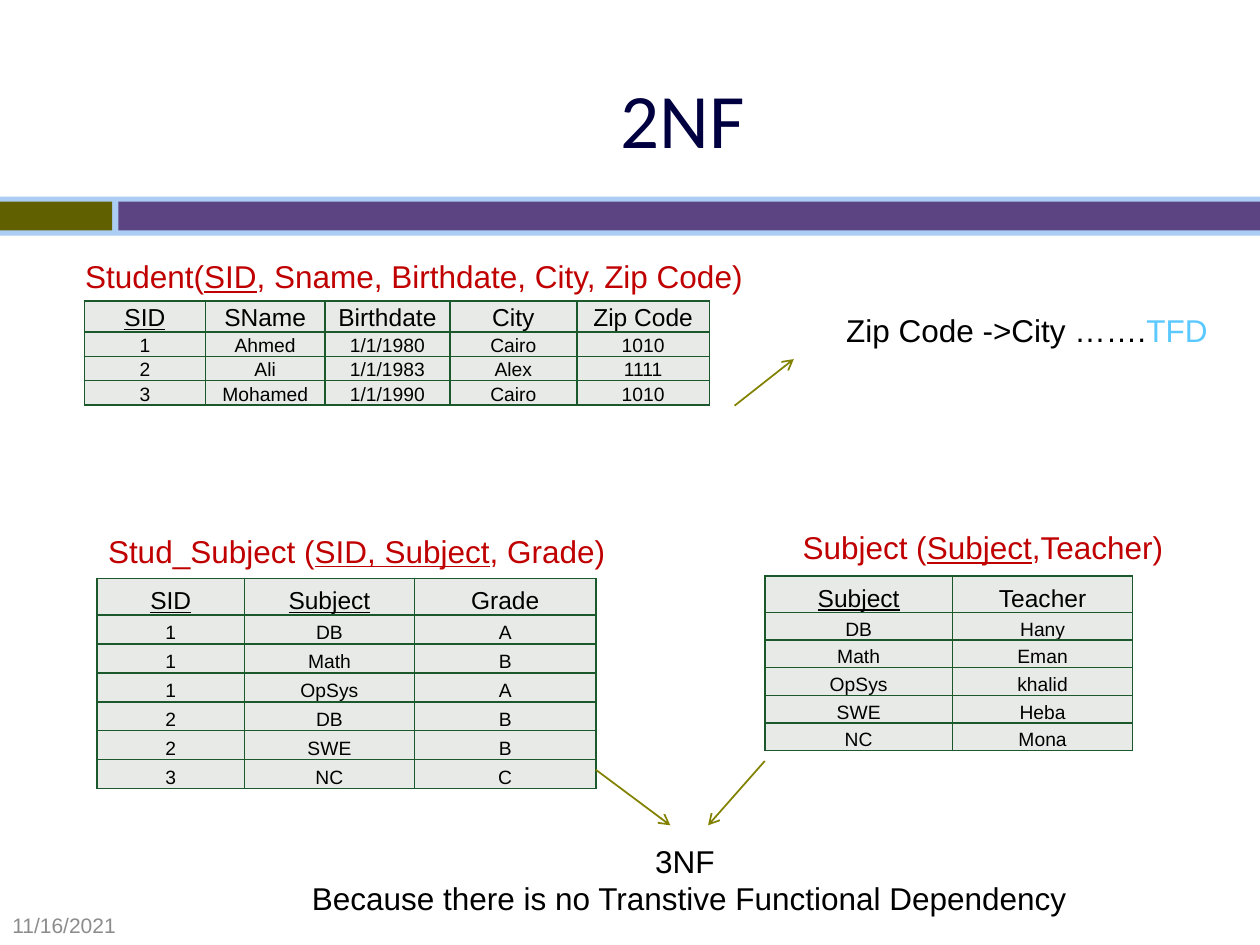
from lxml import etree
from pptx import Presentation
from pptx.dml.color import RGBColor
from pptx.enum.shapes import MSO_CONNECTOR, MSO_SHAPE
from pptx.enum.text import MSO_ANCHOR, PP_ALIGN
from pptx.oxml.ns import qn
from pptx.util import Inches, Pt

RECTANGLE = MSO_SHAPE.RECTANGLE
STRAIGHT = MSO_CONNECTOR.STRAIGHT
LEFT, CENTER = PP_ALIGN.LEFT, PP_ALIGN.CENTER
TOP, MIDDLE, BOTTOM = MSO_ANCHOR.TOP, MSO_ANCHOR.MIDDLE, MSO_ANCHOR.BOTTOM

BLACK, RED, SKY, NAVY, GREY = "000000", "C00000", "5BC9FF", "000040", "8C8C8C"
CELL_FILL, CELL_BORDER, ARROW = "E8EAE8", "1B582B", "828200"
BAND_BACK, BAND_LEFT, BAND_RIGHT = "ABCDF4", "606000", "5C4381"


def rgb(color):
    return RGBColor.from_string(color)


def style_paragraph(paragraph, size, color=BLACK, align=CENTER, font="Arial"):
    paragraph.alignment = align
    paragraph.font.size = Pt(size)
    paragraph.font.name = font
    paragraph.font.color.rgb = rgb(color)


def add_text(slide, box, lines, size=18, color=BLACK, align=CENTER,
             anchor=TOP, font="Arial"):
    """Each line is a list of run texts; returns the text frame."""
    frame = slide.shapes.add_textbox(*map(Inches, box)).text_frame
    frame.word_wrap = True
    frame.vertical_anchor = anchor
    for index, texts in enumerate(lines):
        paragraph = frame.paragraphs[0] if index == 0 else frame.add_paragraph()
        style_paragraph(paragraph, size, color, align, font)
        for text in texts:
            paragraph.add_run().text = text
    return frame


def add_band(slide, left, top, width, height):
    inset, split, gap = 0.04, 0.89, 0.05
    bar_height = height - 2 * inset
    right_start = split + gap
    bars = [
        (left, top, width, height, BAND_BACK),
        (left, top + inset, split, bar_height, BAND_LEFT),
        (left + right_start, top + inset, width - right_start, bar_height, BAND_RIGHT),
    ]
    for *box, color in bars:
        bar = slide.shapes.add_shape(RECTANGLE, *map(Inches, box))
        bar.shadow.inherit = False
        bar.fill.solid()
        bar.fill.fore_color.rgb = rgb(color)
        bar.line.fill.background()


def add_schema(slide, box, name, key, rest):
    """Relation heading with its primary key underlined."""
    frame = add_text(slide, box, [[name, key, rest]], color=RED)
    frame.margin_left = Inches(0.37)
    frame.paragraphs[0].runs[1].font.underline = True


def add_borders(cell):
    properties = cell._tc.get_or_add_tcPr()
    for position, side in enumerate(("lnL", "lnR", "lnT", "lnB")):
        border = etree.Element(qn(f"a:{side}"), w=str(Pt(1)))
        fill = etree.SubElement(border, qn("a:solidFill"))
        etree.SubElement(fill, qn("a:srgbClr"), val=CELL_BORDER)
        properties.insert(position, border)


def add_relation(slide, left, top, widths, header_height, row_height, rows, keys=1):
    """Header row first; the first `keys` column names are underlined."""
    heights = [header_height] + [row_height] * (len(rows) - 1)
    box = (left, top, sum(widths), sum(heights))
    table = slide.shapes.add_table(len(rows), len(widths), *map(Inches, box)).table
    table.first_row = table.horz_banding = False
    for column, width in zip(table.columns, widths):
        column.width = Inches(width)
    for r, (values, height) in enumerate(zip(rows, heights)):
        table.rows[r].height = Inches(height)
        for c, value in enumerate(values):
            cell = table.cell(r, c)
            cell.margin_left = cell.margin_right = cell.margin_top = Inches(0.01)
            cell.margin_bottom = 0
            cell.vertical_anchor = BOTTOM
            cell.fill.solid()
            cell.fill.fore_color.rgb = rgb(CELL_FILL)
            add_borders(cell)
            cell.text = value
            paragraph = cell.text_frame.paragraphs[0]
            style_paragraph(paragraph, 14 if r == 0 else 11)
            if r == 0 and c < keys:
                paragraph.font.underline = True


def add_arrow(slide, start, end):
    arrow = slide.shapes.add_connector(STRAIGHT, *map(Inches, start + end))
    arrow.line.color.rgb = rgb(ARROW)
    arrow.line.width = Pt(1)
    etree.SubElement(arrow.line._get_or_add_ln(), qn("a:tailEnd"), type="arrow")
    etree.SubElement(arrow._element.spPr, qn("a:effectLst"))


def build_slide(slide):
    add_band(slide, 0, 1.56, 10, 0.31)
    add_text(slide, (0.92, 0.31, 9, 1.25), [["2NF"]], 44, NAVY,
             anchor=MIDDLE, font="Calibri")
    add_text(slide, (0, 7.19, 1.97, 0.31), [["11/16/2021"]], 12, GREY, LEFT, MIDDLE)

    add_schema(slide, (0.23, 1.99, 5.84, 0.4),
               "Student(", "SID", ", Sname, Birthdate, City, Zip Code)")
    add_relation(slide, 0.67, 2.39, [0.96, 0.95, 0.99, 1.01, 1.05], 0.24, 0.19, [
        ("SID", "SName", "Birthdate", "City", "Zip Code"),
        ("1", "Ahmed", "1/1/1980", "Cairo", "1010"),
        ("2", "Ali", "1/1/1983", "Alex", "1111"),
        ("3", "Mohamed", "1/1/1990", "Cairo", "1010"),
    ])

    add_schema(slide, (-0.24, 4.17, 5.87, 0.4),
               "Stud_Subject (", "SID, Subject", ", Grade)")
    add_relation(slide, 0.77, 4.59, [1.17, 1.35, 1.44], 0.29, 0.23, [
        ("SID", "Subject", "Grade"),
        ("1", "DB", "A"),
        ("1", "Math", "B"),
        ("1", "OpSys", "A"),
        ("2", "DB", "B"),
        ("2", "SWE", "B"),
        ("3", "NC", "C"),
    ], keys=2)

    add_schema(slide, (4.73, 4.14, 5.87, 0.4), "Subject (", "Subject", ",Teacher)")
    add_relation(slide, 6.07, 4.57, [1.49, 1.43], 0.29, 0.22, [
        ("Subject", "Teacher"),
        ("DB", "Hany"),
        ("Math", "Eman"),
        ("OpSys", "khalid"),
        ("SWE", "Heba"),
        ("NC", "Mona"),
    ])

    dependency = add_text(slide, (6.3, 2.42, 3.7, 0.4),
                          [["Zip Code ->City …….", "TFD"]])
    dependency.paragraphs[0].runs[1].font.color.rgb = rgb(SKY)
    add_text(slide, (1.43, 6.63, 8.08, 0.71),
             [["3NF "], ["Because there is no Transtive Functional Dependency"]])

    add_arrow(slide, (5.83, 3.22), (6.3, 2.85))
    add_arrow(slide, (4.73, 6.11), (5.32, 6.55))
    add_arrow(slide, (6.07, 6.04), (5.62, 6.55))


def main():
    presentation = Presentation()
    presentation.slide_width = Inches(10)
    presentation.slide_height = Inches(7.5)
    build_slide(presentation.slides.add_slide(presentation.slide_layouts[6]))
    presentation.save("out.pptx")


if __name__ == "__main__":
    main()
